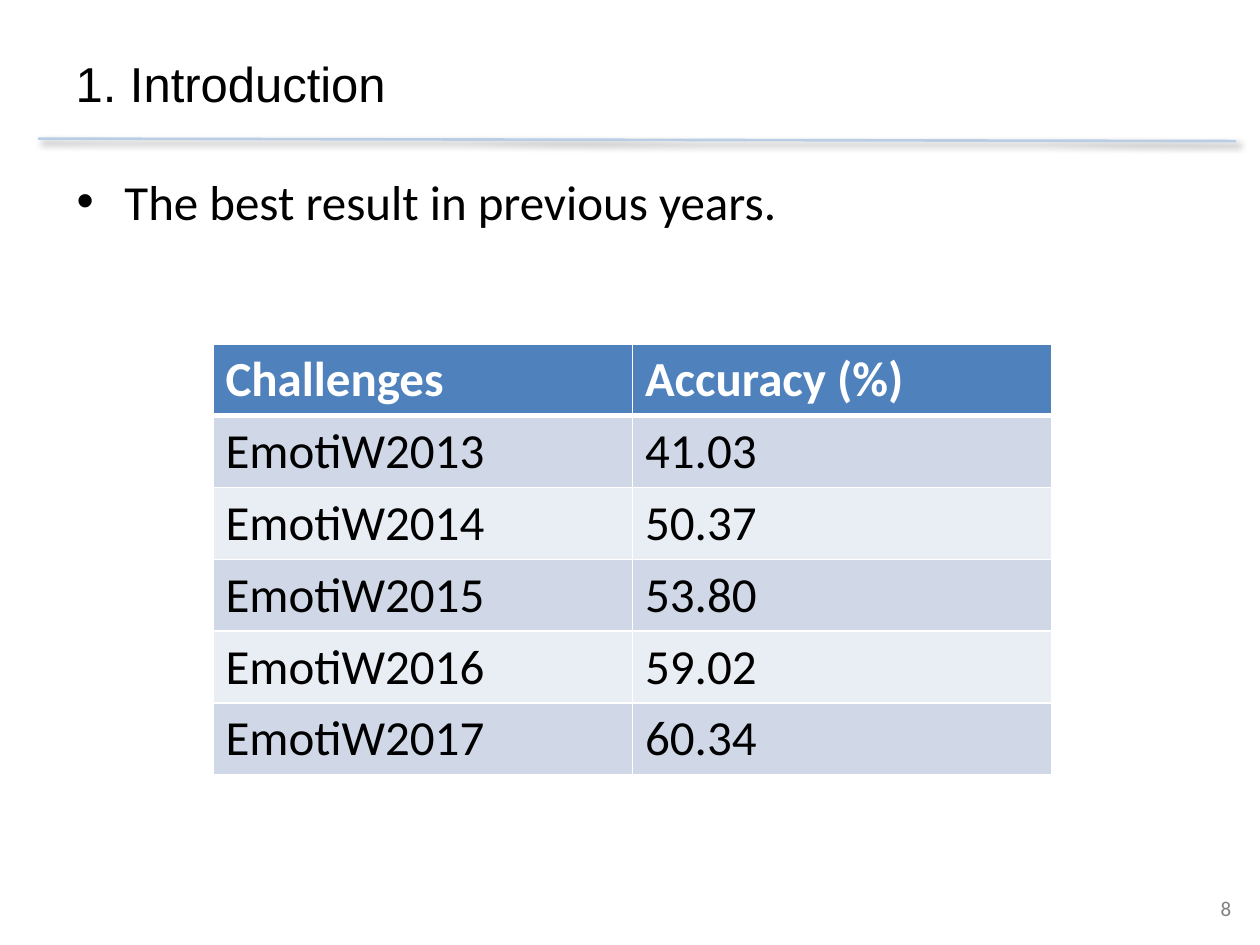
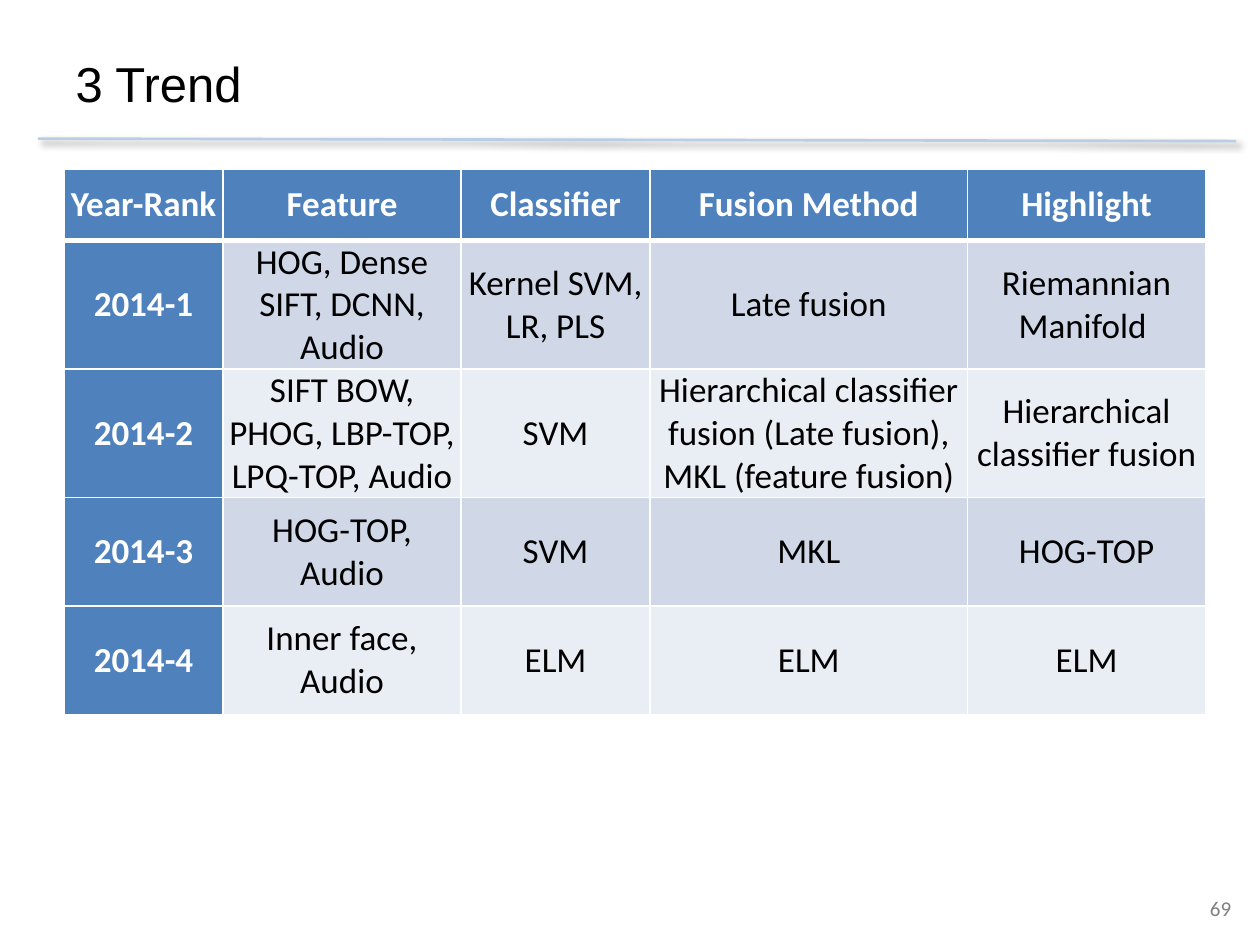
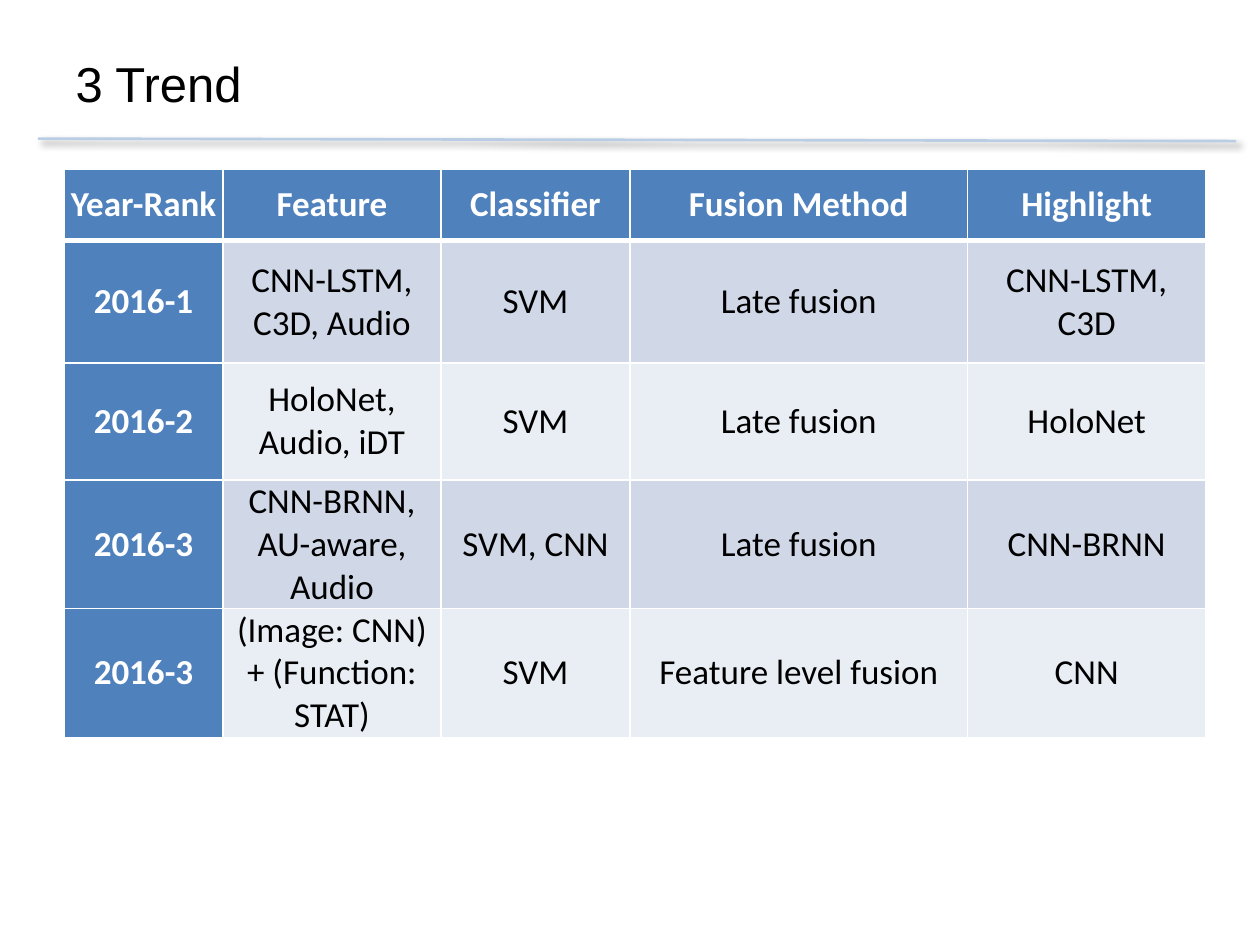
"""Build three slides on the EmotiW challenge: past best results and method trends."""
from dataclasses import dataclass

from lxml.etree import SubElement
from pptx import Presentation
from pptx.dml.color import RGBColor
from pptx.enum.shapes import MSO_CONNECTOR
from pptx.enum.text import MSO_ANCHOR as Anchor, MSO_AUTO_SIZE as AutoSize, PP_ALIGN as Align
from pptx.oxml.ns import qn
from pptx.util import Inches, Pt

COLORS = {
    "text": "000000",
    "white": "FFFFFF",
    "header": "4F81BD",
    "odd": "D0D8E8",
    "even": "E9EDF4",
    "rule": "B9CDE5",
    "number": "808080",
}
HEADING_FONT = "Arial"
BODY_FONT = "Calibri"
TREND_HEADER = ("Year-Rank", "Feature", "Classifier", "Fusion Method", "Highlight")


@dataclass(frozen=True)
class Grid:
    left: float
    top: float
    columns: tuple[float, ...]
    heights: tuple[float, ...]
    rows: tuple[tuple[str, ...], ...]
    size: int = 20
    is_trend: bool = True


@dataclass(frozen=True)
class Page:
    title: str
    title_width: float
    grid: Grid
    number: str = ""
    bullet: str = ""


PAGES = (
    Page(
        "1. Introduction", 3.4,
        Grid(1.69, 2.73, (3.33,) * 2, (0.57,) * 6, (
            ("Challenges", "Accuracy (%)"),
            ("EmotiW2013", "41.03"),
            ("EmotiW2014", "50.37"),
            ("EmotiW2015", "53.80"),
            ("EmotiW2016", "59.02"),
            ("EmotiW2017", "60.34"),
        ), size=28, is_trend=False),
        number="8", bullet="The best result in previous years.",
    ),
    Page(
        "3 Trend", 5,
        Grid(0.51, 1.34, (1.26, 1.89, 1.5, 2.52, 1.89), (0.57, 1.02, 1.02, 0.86, 0.86), (
            TREND_HEADER,
            ("2014-1", "HOG, Dense SIFT, DCNN, Audio", "Kernel SVM, LR, PLS",
             "Late fusion", "Riemannian Manifold "),
            ("2014-2", "SIFT BOW, PHOG, LBP-TOP, LPQ-TOP, Audio ", "SVM",
             "Hierarchical classifier fusion (Late fusion), MKL (feature fusion)",
             "Hierarchical classifier fusion"),
            ("2014-3", "HOG-TOP, Audio", "SVM", "MKL", "HOG-TOP"),
            ("2014-4", "Inner face, Audio", "ELM", "ELM", "ELM"),
        )),
        number="69",
    ),
    Page(
        "3 Trend", 5,
        Grid(0.51, 1.34, (1.26, 1.73, 1.5, 2.68, 1.89), (0.57, 0.97, 0.93, 1.02, 1.02), (
            TREND_HEADER,
            ("2016-1", "CNN-LSTM, C3D, Audio", "SVM", "Late fusion", "CNN-LSTM, C3D"),
            ("2016-2", "HoloNet, Audio, iDT", "SVM", "Late fusion", "HoloNet"),
            ("2016-3", "CNN-BRNN, AU-aware, Audio", "SVM, CNN", "Late fusion", "CNN-BRNN"),
            ("2016-3", "(Image: CNN) + (Function: STAT)", "SVM",
             "Feature level fusion", "CNN"),
        )),
    ),
)


def rgb(name: str) -> RGBColor:
    return RGBColor.from_string(COLORS[name])


def style_text(paragraph, size: int, color: str, font: str = BODY_FONT,
               bold: bool = False) -> None:
    for run in paragraph.runs:
        run.font.name = font
        run.font.size = Pt(size)
        run.font.bold = bold
        run.font.color.rgb = rgb(color)


def place_title(slide, page: Page) -> None:
    title = slide.shapes.title
    title.left, title.top = Inches(0.5), Inches(0.3)
    title.width, title.height = Inches(page.title_width), Inches(0.72)
    frame = title.text_frame
    frame.text = page.title
    frame.word_wrap = True
    frame.auto_size = AutoSize.NONE
    frame.vertical_anchor = Anchor.MIDDLE
    heading = frame.paragraphs[0]
    heading.alignment = Align.LEFT
    style_text(heading, 28, "text", HEADING_FONT)


def draw_rule(slide) -> None:
    rule = slide.shapes.add_connector(
        MSO_CONNECTOR.STRAIGHT, Inches(0.3), Inches(1.1), Inches(9.81), Inches(1.12))
    rule.line.color.rgb = rgb("rule")
    rule.line.width = Pt(1.5)
    effects = SubElement(rule._element.spPr, qn("a:effectLst"))
    shadow = SubElement(effects, qn("a:outerShdw"), blurRad=str(Pt(4)), dist=str(Pt(3)),
                        dir=str(45 * 60000), algn="tl", rotWithShape="0")
    tint = SubElement(shadow, qn("a:srgbClr"), val=COLORS["text"])
    SubElement(tint, qn("a:alpha"), val="40000")


def add_text(slide, text: str, left: float, top: float, width: float, height: float):
    frame = slide.shapes.add_textbox(
        Inches(left), Inches(top), Inches(width), Inches(height)).text_frame
    frame.word_wrap = True
    frame.text = text
    return frame


def place_number(slide, number: str) -> None:
    frame = add_text(slide, number, 9.35, 7.01, 0.52, 0.4)
    frame.vertical_anchor = Anchor.MIDDLE
    frame.paragraphs[0].alignment = Align.RIGHT
    style_text(frame.paragraphs[0], 12, "number")


def place_bullet(slide, text: str) -> None:
    statement = add_text(slide, text, 0.51, 1.31, 9.07, 5.47).paragraphs[0]
    properties = statement._p.get_or_add_pPr()
    properties.set("marL", str(Inches(0.38)))
    properties.set("indent", str(-Inches(0.38)))
    SubElement(properties, qn("a:buFont"), typeface=HEADING_FONT)
    SubElement(properties, qn("a:buChar"), char="•")
    style_text(statement, 28, "text")


def add_borders(cell, top: int, bottom: int) -> None:
    properties = cell._tc.get_or_add_tcPr()
    for side, points in (("L", 1), ("R", 1), ("T", top), ("B", bottom)):
        border = SubElement(properties, qn(f"a:ln{side}"), w=str(Pt(points)))
        fill = SubElement(border, qn("a:solidFill"))
        SubElement(fill, qn("a:srgbClr"), val=COLORS["white"])


def draw_grid(slide, grid: Grid) -> None:
    table = slide.shapes.add_table(
        len(grid.rows), len(grid.columns), Inches(grid.left), Inches(grid.top),
        Inches(sum(grid.columns)), Inches(sum(grid.heights))).table
    for column, width in zip(table.columns, grid.columns):
        column.width = Inches(width)
    for row, height in zip(table.rows, grid.heights):
        row.height = Inches(height)
    for r, texts in enumerate(grid.rows):
        for c, text in enumerate(texts):
            cell = table.cell(r, c)
            is_header = r == 0 or (grid.is_trend and c == 0)
            add_borders(cell, top=3 if r == 1 else 1, bottom=3 if r == 0 else 1)
            cell.fill.solid()
            cell.fill.fore_color.rgb = rgb("header" if is_header else "odd" if r % 2 else "even")
            cell.text_frame.text = text
            entry = cell.text_frame.paragraphs[0]
            style_text(entry, grid.size, "white" if is_header else "text", bold=is_header)
            if grid.is_trend:
                entry.alignment = Align.CENTER
                cell.vertical_anchor = Anchor.MIDDLE
                cell.margin_left = cell.margin_right = Inches(0.05)
                cell.margin_top = cell.margin_bottom = Inches(0)


def build_page(deck, page: Page) -> None:
    slide = deck.slides.add_slide(deck.slide_layouts.get_by_name("Title Only"))
    draw_rule(slide)
    place_title(slide, page)
    if page.number:
        place_number(slide, page.number)
    if page.bullet:
        place_bullet(slide, page.bullet)
    draw_grid(slide, page.grid)


def main() -> None:
    deck = Presentation()
    deck.slide_width, deck.slide_height = Inches(10), Inches(7.5)
    for page in PAGES:
        build_page(deck, page)
    deck.save("out.pptx")


if __name__ == "__main__":
    main()
